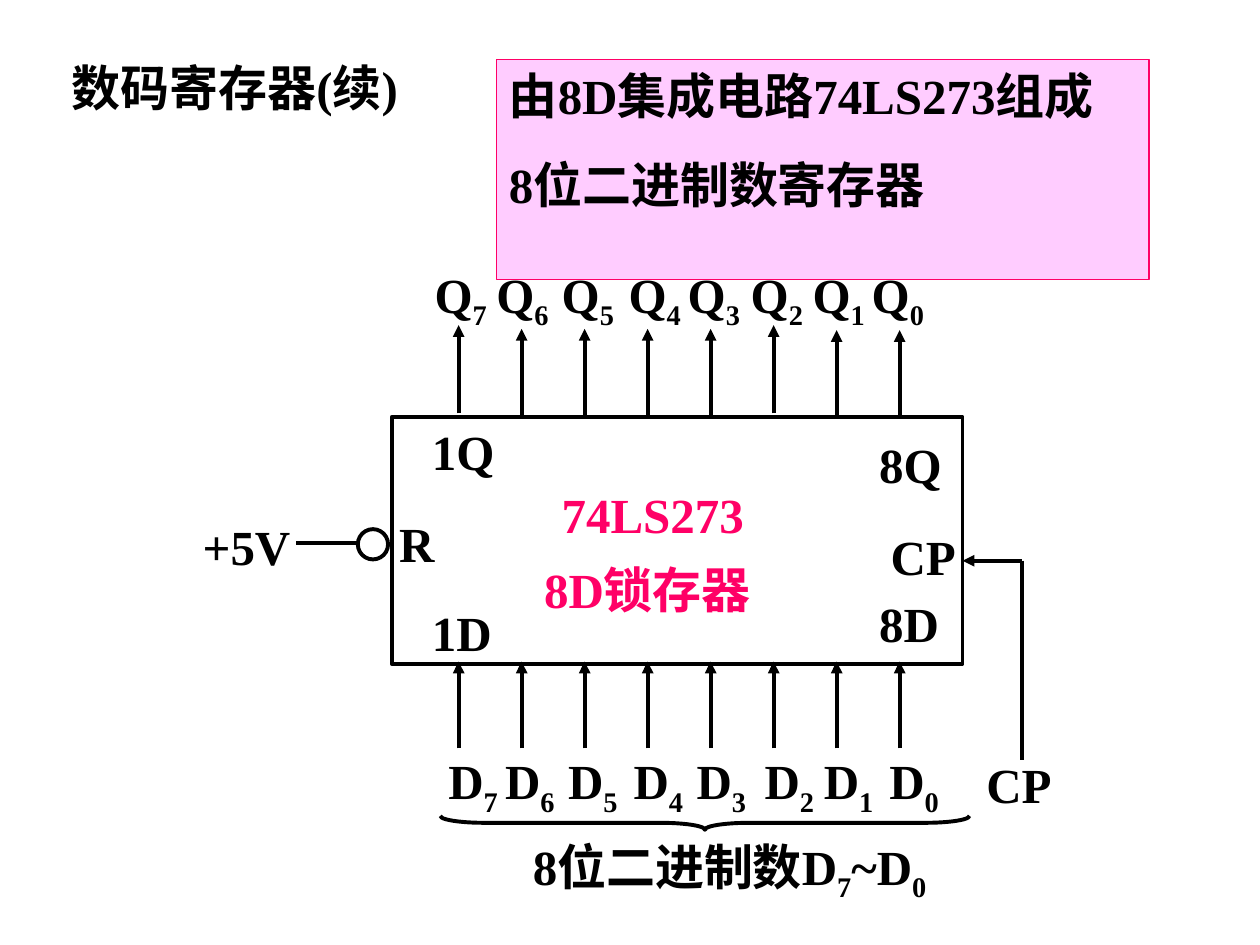
from pptx import Presentation
from pptx.dml.color import RGBColor
from pptx.enum.shapes import MSO_CONNECTOR, MSO_SHAPE
from pptx.enum.text import MSO_ANCHOR, PP_ALIGN
from pptx.oxml.ns import qn
from pptx.util import Inches, Pt
from lxml import etree

BLACK = RGBColor(0x00, 0x00, 0x00)
WHITE = RGBColor(0xFF, 0xFF, 0xFF)
PINK = RGBColor(0xFF, 0x00, 0x66)
PALE_PINK = RGBColor(0xFF, 0xCC, 0xFF)

RECTANGLE = MSO_SHAPE.RECTANGLE
OVAL = MSO_SHAPE.OVAL
LEFT_BRACE = MSO_SHAPE.LEFT_BRACE
STRAIGHT = MSO_CONNECTOR.STRAIGHT
TOP = MSO_ANCHOR.TOP
LEFT = PP_ALIGN.LEFT


class Diagram:
    font_name = "Times New Roman"
    font_size = Pt(28)
    paragraph_gap = Pt(17.5)
    line_width = Pt(2.25)

    def __init__(self, slide):
        self.slide = slide

    def fill_text(self, frame, lines, color=BLACK):
        """Add one paragraph per line; the character after "_" is a subscript."""
        frame.word_wrap = True
        frame.vertical_anchor = TOP
        for number, line in enumerate(lines):
            paragraph = frame.add_paragraph() if number else frame.paragraphs[0]
            paragraph.alignment = LEFT
            if number:
                paragraph.space_before = self.paragraph_gap
            paragraph.font.name = self.font_name
            paragraph.font.size = self.font_size
            paragraph.font.bold = True
            paragraph.font.color.rgb = color
            base, *rest = line.split("_")
            paragraph.add_run().text = base
            for part in rest:
                subscript = paragraph.add_run()
                subscript.text = part[0]
                subscript._r.get_or_add_rPr().set("baseline", "-25000")
                if part[1:]:
                    paragraph.add_run().text = part[1:]

    def title(self, text, left, top, width, height):
        title = self.slide.shapes.title
        title.left, title.top = Inches(left), Inches(top)
        title.width, title.height = Inches(width), Inches(height)
        self.fill_text(title.text_frame, [text])

    def label(self, text, left, top, width=0.73, height=0.57, color=BLACK):
        box = self.slide.shapes.add_textbox(
            Inches(left), Inches(top), Inches(width), Inches(height))
        self.fill_text(box.text_frame, [text], color)

    def shape(self, kind, left, top, width, height, fill=None,
              line=BLACK, line_width=line_width):
        shape = self.slide.shapes.add_shape(
            kind, Inches(left), Inches(top), Inches(width), Inches(height))
        shape.shadow.inherit = False
        if fill is None:
            shape.fill.background()
        else:
            shape.fill.solid()
            shape.fill.fore_color.rgb = fill
        shape.line.color.rgb = line
        shape.line.width = line_width
        return shape

    def wire(self, x1, y1, x2, y2, arrow=False):
        wire = self.slide.shapes.add_connector(
            STRAIGHT, Inches(x1), Inches(y1), Inches(x2), Inches(y2))
        wire.line.color.rgb = BLACK
        wire.line.width = self.line_width
        properties = wire._element.spPr
        if arrow:
            etree.SubElement(properties.find(qn("a:ln")), qn("a:tailEnd"), type="triangle")
        etree.SubElement(properties, qn("a:effectLst"))


def main():
    presentation = Presentation()
    presentation.slide_width = Inches(10)
    presentation.slide_height = Inches(7.5)
    diagram = Diagram(presentation.slides.add_slide(presentation.slide_layouts[5]))

    # Heading and description
    diagram.title("数码寄存器(续)", 0.47, 0.41, 2.81, 1.04)
    description = diagram.shape(
        RECTANGLE, 3.94, 0.47, 5.18, 1.75, PALE_PINK, PINK, Pt(0.75))
    diagram.fill_text(description.text_frame,
                      ["由8D集成电路74LS273组成", "8位二进制数寄存器"])

    # Latch body
    diagram.shape(RECTANGLE, 3.11, 3.31, 4.53, 1.96, WHITE)
    diagram.label("74LS273", 4.36, 3.8, 1.9, color=PINK)
    diagram.label("8D锁存器", 4.22, 4.39, 2.12, color=PINK)
    for pin, left, top in (("1Q", 3.33, 3.3), ("8Q", 6.88, 3.4),
                           ("1D", 3.33, 4.73), ("8D", 6.88, 4.66)):
        diagram.label(pin, left, top)

    # Outputs Q7..Q0 and inputs D7..D0: label lefts and output arrow tips
    columns = ((3.35, 3.46, 2.58), (3.84, 3.91, 2.61), (4.36, 4.41, 2.61),
               (4.89, 4.93, 2.61), (5.36, 5.43, 2.61), (5.86, 5.97, 2.58),
               (6.35, 6.44, 2.62), (6.82, 6.96, 2.62))
    for column, (output_left, input_left, tip) in enumerate(columns):
        bit = 7 - column
        x = 3.64 + 0.5 * column
        diagram.wire(x, tip + 0.7, x, tip, arrow=True)
        diagram.wire(x, 5.94, x, 5.25, arrow=True)
        diagram.label(f"Q_{bit}", output_left, 2.05, 0.69, 0.63)
        diagram.label(f"D_{bit}", input_left, 5.91, 0.69, 0.63)

    # Reset input
    diagram.wire(2.35, 4.31, 2.86, 4.31)
    diagram.shape(OVAL, 2.84, 4.2, 0.24, 0.24, WHITE)
    diagram.label("R", 3.07, 4.03, 0.44)
    diagram.label("+5V", 1.51, 4.05, 0.98)

    # Clock input
    diagram.wire(8.11, 4.45, 7.64, 4.45, arrow=True)
    diagram.wire(8.11, 4.45, 8.11, 6.03)
    diagram.label("CP", 6.97, 4.13, 0.82)
    diagram.label("CP", 7.73, 5.94, 0.74)

    # Brace under the data inputs
    brace = diagram.shape(LEFT_BRACE, 5.54, 4.43, 0.11, 4.2)
    brace.rotation = 270
    brace.adjustments[0] = 3.18
    diagram.label("8位二进制数D_7~D_0", 4.13, 6.59, 3.69, 0.63)

    presentation.save("out.pptx")


if __name__ == "__main__":
    main()
